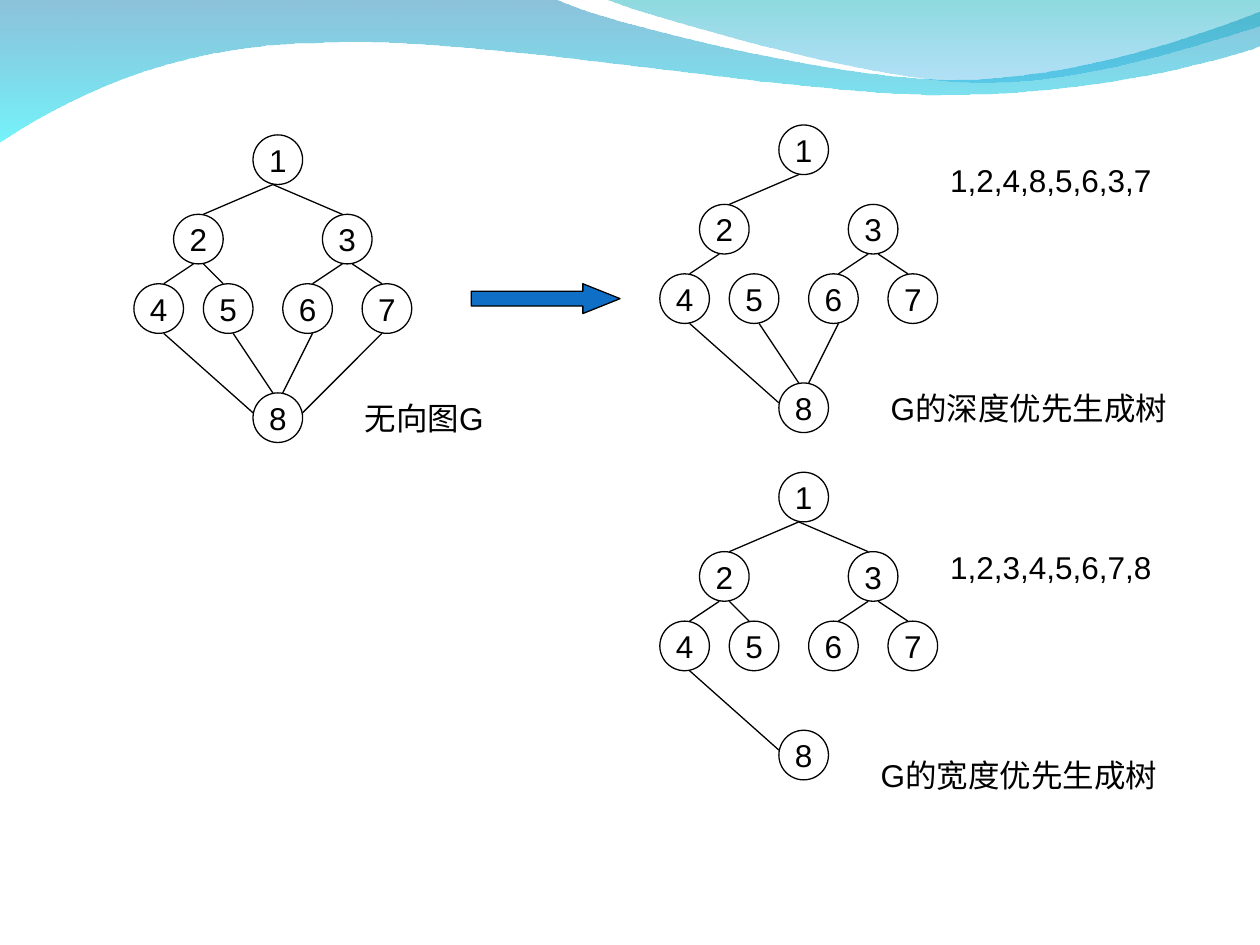
from dataclasses import dataclass

from lxml.etree import SubElement
from pptx import Presentation
from pptx.dml.color import RGBColor as RGB
from pptx.enum.shapes import MSO_CONNECTOR as LINK, MSO_SHAPE as KIND
from pptx.enum.text import MSO_ANCHOR as ANCHOR, MSO_AUTO_SIZE as FIT, PP_ALIGN as ALIGN
from pptx.oxml.ns import qn
from pptx.util import Inches, Pt


@dataclass(frozen=True)
class Theme:
    font: str = "Arial"
    size: float = 18
    ink: str = "000000"
    arrow: str = "0F6FC6"
    stroke: float = 0.75
    # Gradient stops: colour and opacity in percent
    wave: tuple = (("0079AF", 45), ("00EBF8", 55))
    crest: tuple = (("00ADB6", 45), ("009BE5", 30))


THEME = Theme()

# Wave outlines in inches: a pair is a line end, six numbers are a cubic curve
WAVE = [(0, -0.01), (4.4, -0.01),
        (4.76, 0.17, 6.64, 0.63, 7.58, 0.63), (8.53, 0.63, 9.58, 0.26, 10, 0.09),
        (10.01, 0.36),
        (9.83, 0.44, 8.7, 0.76, 7.46, 0.75), (6.22, 0.75, 3.82, 0.28, 2.57, 0.34),
        (1.29, 0.35, 0.46, 0.83, -0.01, 1.13), (0, -0.01)]
CREST = [(4.79, -0.01),
         (5.09, 0.11, 6.82, 0.62, 7.69, 0.65), (8.56, 0.69, 9.61, 0.32, 10, 0.21),
         (10, 0), (4.79, -0.01)]

# Graphs, labels and arrow sit on a grid of eight steps to 0.63 inches
SIDE = 5
NODES = {1: (0, 0), 2: (-8, 8), 3: (7, 8), 4: (-12, 15),
         5: (-5, 15), 6: (3, 15), 7: (11, 15), 8: (0, 26)}

# Each edge: shift from centre at its start and end, and drop at its end
EDGES = {(1, 2): (-0.5, 0.5, 0), (1, 3): (-0.5, -0.5, 0),
         (2, 4): (-0.5, 0.5, 0), (2, 5): (0.5, -0.5, 0),
         (3, 6): (-0.5, 0.5, 0), (3, 7): (0.5, -0.5, 0),
         (4, 8): (0.5, -2.5, 2), (5, 8): (0.5, -0.5, 0),
         (6, 8): (0.5, 0.5, 0), (7, 8): (-0.5, 2.5, 2)}
DEPTH = [edge for edge in EDGES if edge not in ((1, 3), (2, 5), (7, 8))]
BREADTH = [edge for edge in EDGES if edge[1] < 8 or edge == (4, 8)]


def grid(*steps):
    return [Inches(step * 0.63 / 8) for step in steps]


def add_wave(shapes, steps, stops):
    # Lay every curve as three lines first, then join them into one cubic
    start, *rest = [(Inches(step[i]), Inches(step[i + 1]))
                    for step in steps for i in range(0, len(step), 2)]
    pen = shapes.build_freeform(*start)
    pen.add_line_segments(rest, close=True)
    wave = pen.convert_to_shape()
    lines = iter(list(wave._element.spPr.iter(qn("a:lnTo"))))
    for step in steps[1:]:
        first = next(lines)
        if len(step) == 6:
            first.tag = qn("a:cubicBezTo")
            for _ in range(2):
                line = next(lines)
                first.append(line[0])
                line.getparent().remove(line)

    # Shade from top to bottom
    wave.shadow.inherit = False
    wave.line.fill.background()
    wave.fill.gradient()
    wave.fill.gradient_angle = 270
    for stop, (color, _) in zip(wave.fill.gradient_stops, stops):
        stop.color.rgb = RGB.from_string(color)
    tints = wave._element.spPr.iter(qn("a:srgbClr"))
    for tint, (_, alpha) in zip(tints, stops):
        SubElement(tint, qn("a:alpha"), val=str(alpha * 1000))


def set_line(line):
    line.color.rgb = RGB.from_string(THEME.ink)
    line.width = Pt(THEME.stroke)


def add_run(para, text):
    run = para.add_run()
    run.text = text
    run.font.name = THEME.font
    run.font.size = Pt(THEME.size)
    run.font.color.rgb = RGB.from_string(THEME.ink)


def add_node(shapes, x, y, name):
    node = shapes.add_shape(KIND.OVAL, *grid(x, y, SIDE, SIDE))
    node.shadow.inherit = False
    node.fill.background()
    set_line(node.line)
    frame = node.text_frame
    frame.word_wrap = False
    frame.vertical_anchor = ANCHOR.MIDDLE
    frame.paragraphs[0].alignment = ALIGN.CENTER
    add_run(frame.paragraphs[0], name)


def add_edge(shapes, *ends):
    edge = shapes.add_connector(LINK.STRAIGHT, *grid(*ends))
    set_line(edge.line)
    SubElement(edge._element.spPr, qn("a:effectLst"))


def add_label(shapes, x, y, w, text, high=0.4):
    frame = shapes.add_textbox(*grid(x, y, w), Inches(high)).text_frame
    frame.word_wrap = True
    frame.auto_size = FIT.SHAPE_TO_FIT_TEXT
    add_run(frame.paragraphs[0], text)


def add_graph(slide, left, top, edges, label):
    """Draw the eight nodes, the chosen edges and the caption as one group."""
    shapes = slide.shapes.add_group_shape().shapes
    for name, (x, y) in NODES.items():
        add_node(shapes, left + x, top + y, str(name))
    mid = left + SIDE / 2
    for a, b in edges:
        out, back, drop = EDGES[a, b]
        (x1, y1), (x2, y2) = NODES[a], NODES[b]
        add_edge(shapes, mid + x1 + out, top + y1 + SIDE,
                 mid + x2 + back, top + y2 + drop)
    add_label(shapes, *label)


def add_arrow(shapes, *place):
    arrow = shapes.add_shape(KIND.RIGHT_ARROW, *grid(*place))
    arrow.adjustments[1] = 1.25
    arrow.shadow.inherit = False
    arrow.fill.solid()
    arrow.fill.fore_color.rgb = RGB.from_string(THEME.arrow)
    set_line(arrow.line)


def main():
    deck = Presentation()
    deck.slide_width, deck.slide_height = Inches(10), Inches(7.5)
    slide = deck.slides.add_slide(deck.slide_layouts[6])
    shapes = slide.shapes

    # Wave band along the top
    add_wave(shapes, WAVE, THEME.wave)
    add_wave(shapes, CREST, THEME.crest)

    # Graph and its two spanning trees
    add_graph(slide, 25.5, 13.6, EDGES, (35.5, 39.6, 17, "无向图G"))
    add_graph(slide, 78.5, 47.6, BREADTH, (87.5, 75.6, 32, "G的宽度优先生成树"))
    add_graph(slide, 78.5, 12.6, DEPTH, (88.5, 38.6, 31, "G的深度优先生成树", 0.7))

    # Arrow and visiting orders
    add_arrow(shapes, 47.5, 28.6, 15, 3)
    add_label(shapes, 94.5, 15.6, 28.5, "1,2,4,8,5,6,3,7")
    add_label(shapes, 94.5, 54.6, 28.5, "1,2,3,4,5,6,7,8")

    deck.save("out.pptx")


if __name__ == "__main__":
    main()
